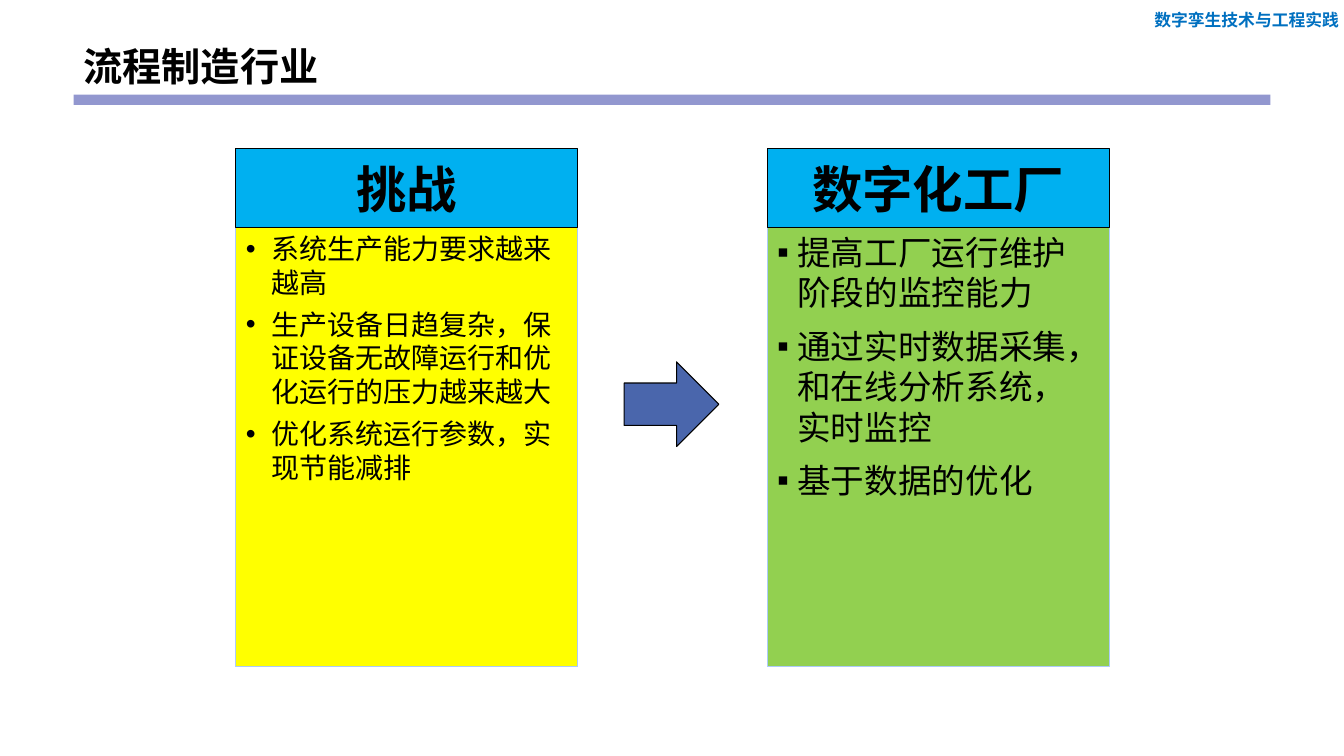
from pptx import Presentation
from pptx.dml.color import RGBColor
from pptx.enum.shapes import MSO_SHAPE
from pptx.enum.text import MSO_ANCHOR, PP_ALIGN
from pptx.oxml.ns import qn
from pptx.util import Inches, Pt
from lxml import etree

RECTANGLE = MSO_SHAPE.RECTANGLE
RIGHT_ARROW = MSO_SHAPE.RIGHT_ARROW
TOP, MIDDLE, BOTTOM = MSO_ANCHOR.TOP, MSO_ANCHOR.MIDDLE, MSO_ANCHOR.BOTTOM
LEFT, CENTER = PP_ALIGN.LEFT, PP_ALIGN.CENTER
CJK_FONT = "Noto Sans CJK SC"
MARGIN, CONTENT_WIDTH = 0.73, 11.87
PANEL_WIDTH, HEADER_TOP, HEADER_HEIGHT = 3.39, 1.47, 0.79
BODY_TOP, BODY_HEIGHT = 2.25, 4.36
CHALLENGES = [
    "系统生产能力要求越来越高",
    "生产设备日趋复杂，保证设备无故障运行和优化运行的压力越来越大",
    "优化系统运行参数，实现节能减排",
]
FACTORY_GAINS = [
    "提高工厂运行维护阶段的监控能力",
    "通过实时数据采集，和在线分析系统，实时监控",
    "基于数据的优化",
]


def color(value):
    """Turn a hex string into a colour."""
    return RGBColor.from_string(value)


def set_font(paragraph, size, name=CJK_FONT, hue="000000", bold=False):
    """Set the font of a whole paragraph, for Latin and Chinese text."""
    font = paragraph.font
    font.size, font.name, font.bold = Pt(size), name, bold
    font.color.rgb = color(hue)
    properties = paragraph._p.pPr.find(qn("a:defRPr"))
    etree.SubElement(properties, qn("a:ea"), typeface=CJK_FONT)


def add_block(slide, kind, box, fill, line=None):
    """Add a filled preset shape, outlined when a line colour is given."""
    shape = slide.shapes.add_shape(kind, *map(Inches, box))
    shape.shadow.inherit = False
    shape.fill.solid()
    shape.fill.fore_color.rgb = color(fill)
    if line:
        shape.line.color.rgb = color(line)
        shape.line.width = Pt(0.75)
    else:
        shape.line.fill.background()
    return shape


def add_label(slide, box, text, anchor, wrap=True, line_spacing=None, **font):
    """Add a text box with one line of text."""
    frame = slide.shapes.add_textbox(*map(Inches, box)).text_frame
    frame.word_wrap = wrap
    frame.vertical_anchor = anchor
    paragraph = frame.paragraphs[0]
    paragraph.text = text
    paragraph.line_spacing = line_spacing
    set_font(paragraph, **font)


def add_bullet(paragraph, character, indent):
    """Give a paragraph a bullet with a hanging indent."""
    properties = paragraph._p.get_or_add_pPr()
    properties.set("marL", str(Inches(indent)))
    properties.set("indent", str(-Inches(indent)))
    etree.SubElement(properties, qn("a:buFont"), typeface="Arial")
    etree.SubElement(properties, qn("a:buChar"), char=character)


def add_panel(slide, left, heading, items, fill, bullet, indent, gap, **font):
    """Add a bulleted panel under a heading block."""
    body = add_block(slide, RECTANGLE, (left, BODY_TOP, PANEL_WIDTH, BODY_HEIGHT), fill, "ACCBF9")
    frame = body.text_frame
    frame.word_wrap = True
    frame.vertical_anchor = TOP
    for index, item in enumerate(items):
        paragraph = frame.add_paragraph() if index else frame.paragraphs[0]
        paragraph.text = item
        paragraph.alignment = LEFT
        paragraph.space_after = Pt(gap)
        add_bullet(paragraph, bullet, indent)
        set_font(paragraph, **font)
    header = add_block(
        slide, RECTANGLE, (left, HEADER_TOP, PANEL_WIDTH, HEADER_HEIGHT), "00B0F0", "000000"
    )
    header.text_frame.word_wrap = False
    header.text_frame.vertical_anchor = MIDDLE
    paragraph = header.text_frame.paragraphs[0]
    paragraph.text = heading
    paragraph.alignment = CENTER
    set_font(paragraph, 36, bold=True)


def main():
    """Build the slide and save it."""
    presentation = Presentation()
    presentation.slide_width, presentation.slide_height = Inches(13.33), Inches(7.5)
    slide = presentation.slides.add_slide(presentation.slide_layouts[6])
    add_label(slide, (11.35, 0.05, 2.05, 0.3), "数字孪生技术与工程实践", TOP,
              wrap=False, size=12, hue="0070C0", bold=True)
    add_block(slide, RECTANGLE, (MARGIN, 0.94, CONTENT_WIDTH, 0.1), "9297CF")
    add_label(slide, (MARGIN, 0, CONTENT_WIDTH, 0.94), "流程制造行业", BOTTOM,
              line_spacing=0.9, size=28, name="Montserrat", bold=True)
    add_panel(slide, 2.34, "挑战", CHALLENGES, "FFFF00", "•", 0.25, 6, size=20, name="Arial")
    add_panel(slide, 7.61, "数字化工厂", FACTORY_GAINS, "92D050", "▪", 0.2, 9.6, size=24)
    add_block(slide, RIGHT_ARROW, (6.19, 3.59, 0.94, 0.84), "4A66AC", "000000")
    presentation.save("out.pptx")


if __name__ == "__main__":
    main()
